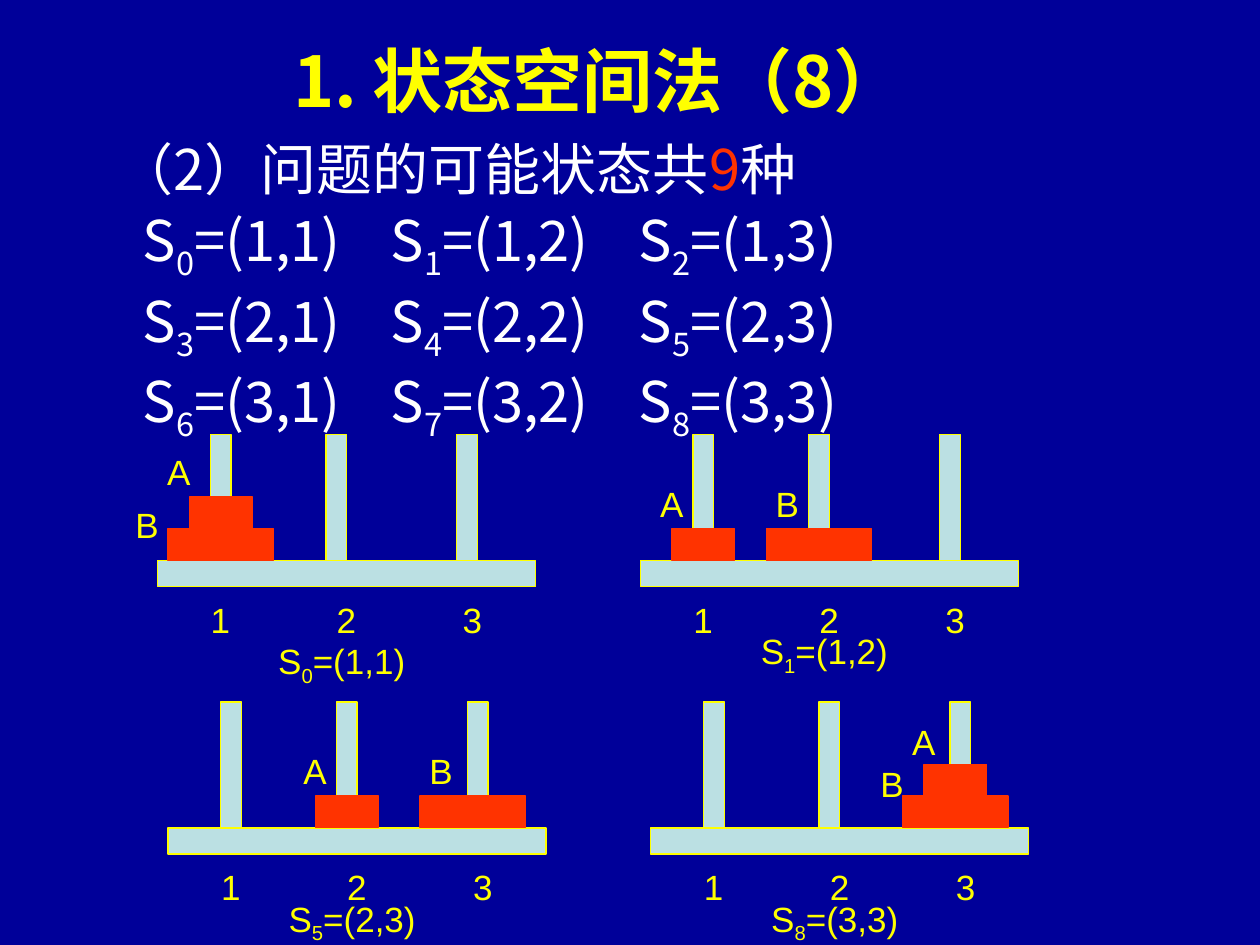
from pptx import Presentation
from pptx.dml.color import RGBColor
from pptx.enum.shapes import MSO_SHAPE
from pptx.enum.text import MSO_AUTO_SIZE, PP_ALIGN
from pptx.oxml.ns import qn
from pptx.util import Cm, Pt
from lxml import etree

RECTANGLE = MSO_SHAPE.RECTANGLE
LEFT, CENTER = PP_ALIGN.LEFT, PP_ALIGN.CENTER
FIT_SHAPE = MSO_AUTO_SIZE.SHAPE_TO_FIT_TEXT
NAVY, WHITE, YELLOW, RED, PALE = "000099", "FFFFFF", "FFFF00", "FF3300", "BBE0E3"
CHINESE_FONT = "Noto Sans CJK SC"
color = RGBColor.from_string


def add_text(box, lines, size, font="Arial", align=CENTER, bold=False, spacings=(), tabs=()):
    """Add a text box in cm; each line is a list of (text, colour, is_subscript) runs."""
    shape = slide.shapes.add_textbox(*(Cm(length) for length in box))
    frame = shape.text_frame
    frame.word_wrap = True
    frame.auto_size = FIT_SHAPE
    for index, line in enumerate(lines):
        paragraph = frame.paragraphs[0] if index == 0 else frame.add_paragraph()
        paragraph.alignment = align
        if spacings:
            paragraph.line_spacing = spacings[index]
        if tabs:
            tab_list = etree.SubElement(paragraph._p.get_or_add_pPr(), qn("a:tabLst"))
            for position in tabs:
                etree.SubElement(tab_list, qn("a:tab"), pos=str(Cm(position)), algn="l")
        for text, hex_color, is_subscript in line:
            run = paragraph.add_run()
            run.text = text
            run.font.size = Pt(size)
            run.font.bold = bold
            run.font.color.rgb = color(hex_color)
            run.font.name = font
            properties = run.font._element
            etree.SubElement(properties, qn("a:ea"), typeface=font)
            if is_subscript:
                properties.set("baseline", "-25000")


def add_bar(left, top, width, height, fill, line):
    shape = slide.shapes.add_shape(RECTANGLE, Cm(left), Cm(top), Cm(width), Cm(height))
    shape.shadow.inherit = False
    shape.fill.solid()
    shape.fill.fore_color.rgb = color(fill)
    shape.line.color.rgb = color(line)
    shape.line.width = Pt(0.75)


presentation = Presentation()
presentation.slide_width, presentation.slide_height = Cm(25.4), Cm(19.05)
slide = presentation.slides.add_slide(presentation.slide_layouts[6])
slide.background.fill.solid()
slide.background.fill.fore_color.rgb = color(NAVY)

# Title and the list of the nine states
state_lines = [[("（2）问题的可能状态共", WHITE, False), ("9", RED, False), ("种", WHITE, False)]]
for disk_a in range(1, 4):
    line = []
    for disk_b in range(1, 4):
        number = 3 * (disk_a - 1) + disk_b - 1
        line += [("\tS", WHITE, False), (str(number), WHITE, True),
                 (f"=({disk_a},{disk_b})", WHITE, False)]
    state_lines.append(line)
add_text((2.12, 2.12, 22.43, 11.81), state_lines, 32, CHINESE_FONT, LEFT,
         spacings=(1.35, 1.05, 1.05, 1.05), tabs=(0.51, 5.51, 10.51))
add_text((1.69, 0.64, 20.75, 1.96), [[("1. 状态空间法（8）", YELLOW, False)]], 40,
         CHINESE_FONT, bold=True)

# Four example states: base corner, pegs of A and B, label offsets, caption offset
peg_offsets = (1.06, 3.39, 6.03)
disk_centers = (1.27, 3.6, 6.14)
disk_widths = {"A": 1.27, "B": 2.12}
disk_height = 0.64
panels = [
    (3.18, 11.3, (1, 1), ((-0.42, -2.34), (-1.06, -1.27)), 1.47),
    (12.91, 11.3, (1, 2), ((-0.21, -1.7), (2.12, -1.7)), 1.27),
    (3.39, 16.69, (2, 3), ((2.12, -1.7), (4.66, -1.7)), 1.27),
    (13.12, 16.69, (3, 3), ((4.66, -2.29), (4.02, -1.45)), 1.27),
]
for left, top, pegs, label_offsets, caption_offset in panels:
    for offset in peg_offsets:
        add_bar(left + offset, top - 2.54, 0.42, 2.54, PALE, YELLOW)
    add_bar(left, top, 7.62, 0.53, PALE, YELLOW)

    for name, peg, (label_x, label_y) in zip("AB", pegs, label_offsets):
        width = disk_widths[name]
        level = 2 if name == "A" and pegs[0] == pegs[1] else 1
        add_bar(left + disk_centers[peg - 1] - width / 2, top - level * disk_height,
                width, disk_height, RED, RED)
        add_text((left + label_x, top + label_y, 1.69, 1.12), [[(name, YELLOW, False)]], 20)

    for index in range(3):
        add_text((left + 0.42 + 2.54 * index, top + 0.64, 1.69, 1.12),
                 [[(str(index + 1), YELLOW, False)]], 20)
    disk_a, disk_b = pegs
    number = 3 * (disk_a - 1) + disk_b - 1
    caption = [("S", YELLOW, False), (str(number), YELLOW, True),
               (f"=({disk_a},{disk_b})", YELLOW, False)]
    add_text((left + 0.85, top + caption_offset, 5.72, 1.22), [caption], 20)

presentation.save("out.pptx")
